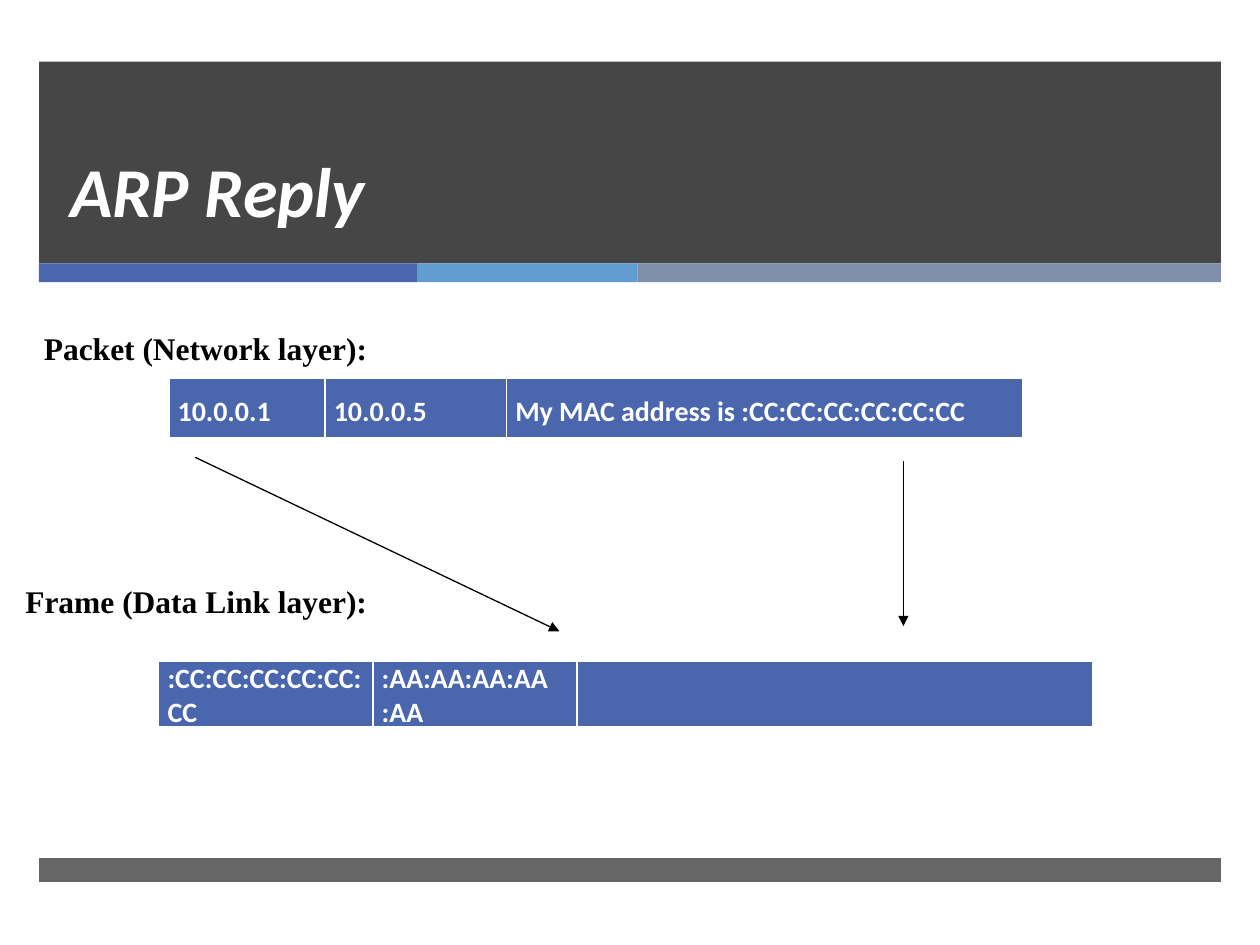
from dataclasses import dataclass
from typing import Optional

import lxml.etree
import pptx
import pptx.dml.color
import pptx.enum.shapes
import pptx.enum.text
import pptx.oxml
import pptx.oxml.ns
import pptx.util

ALIGN = pptx.enum.text.PP_ALIGN
ANCHOR = pptx.enum.text.MSO_ANCHOR
qn = pptx.oxml.ns.qn


@dataclass(frozen=True)
class Theme:
    dark: str = "262626"
    blue: str = "4A66AC"
    sky: str = "629DD1"
    slate: str = "7F8FA9"
    white: str = "FFFFFF"
    black: str = "000000"
    sans: str = "Calibri"
    serif: str = "Times New Roman"
    title_size: int = 40
    label_size: int = 18
    field_size: int = 16


@dataclass(frozen=True)
class Box:
    left: float
    top: float
    width: float
    height: float


@dataclass(frozen=True)
class Band:
    box: Box
    color: str
    opacity: int = 100


@dataclass(frozen=True)
class TextStyle:
    font: str
    size: int
    color: str
    italic: bool = False
    spacing: Optional[float | pptx.util.Pt] = None
    after: int = 0
    align: Optional[ALIGN] = None


@dataclass(frozen=True)
class Label:
    text: str
    box: Box
    style: TextStyle
    anchor: ANCHOR = ANCHOR.TOP
    wrap: bool = False


@dataclass(frozen=True)
class Header:
    left: float
    top: float
    height: float
    widths: tuple[float, ...]
    fields: tuple[str, ...]
    styles: tuple[TextStyle, ...]


@dataclass(frozen=True)
class Arrow:
    start: tuple[float, float]
    end: tuple[float, float]


THEME = Theme()
GRID_COLUMNS = 100

deck = pptx.Presentation()
deck.slide_width = pptx.util.Inches(10)
deck.slide_height = pptx.util.Inches(7.5)
slide = deck.slides.add_slide(deck.slide_layouts[6])


def grid(units: float) -> int:
    return round(units * deck.slide_width / GRID_COLUMNS)


def place(box: Box) -> tuple[int, int, int, int]:
    return grid(box.left), grid(box.top), grid(box.width), grid(box.height)


def rgb(color: str) -> pptx.dml.color.RGBColor:
    return pptx.dml.color.RGBColor.from_string(color)


def write(frame, text: str, style: TextStyle) -> None:
    frame.text = text
    for paragraph in frame.paragraphs:
        paragraph.alignment = style.align
        paragraph.line_spacing = style.spacing
        paragraph.space_after = pptx.util.Pt(style.after)
        for run in paragraph.runs:
            run.font.name = style.font
            run.font.size = pptx.util.Pt(style.size)
            run.font.color.rgb = rgb(style.color)
            run.font.bold = True
            run.font.italic = style.italic


def draw_band(band: Band) -> None:
    bar = slide.shapes.add_shape(pptx.enum.shapes.MSO_SHAPE.RECTANGLE, *place(band.box))
    bar.shadow.inherit = False
    bar.line.fill.background()
    bar.fill.solid()
    bar.fill.fore_color.rgb = rgb(band.color)
    if band.opacity < 100:
        tint = bar.fill._xPr.find(".//" + qn("a:srgbClr"))
        lxml.etree.SubElement(tint, qn("a:alpha"), val=str(band.opacity * 1000))


def draw_label(label: Label) -> None:
    frame = slide.shapes.add_textbox(*place(label.box)).text_frame
    frame.word_wrap = label.wrap
    frame.vertical_anchor = label.anchor
    write(frame, label.text, label.style)


def draw_header(header: Header) -> None:
    box = Box(header.left, header.top, sum(header.widths), header.height)
    table = slide.shapes.add_table(1, len(header.widths), *place(box)).table
    table.first_row = table.horz_banding = False
    for column, width in zip(table.columns, header.widths):
        column.width = grid(width)
    for cell, text, style in zip(table.rows[0].cells, header.fields, header.styles):
        cell.margin_left = cell.margin_right = grid(0.7)
        cell.margin_top = cell.margin_bottom = 0
        cell.fill.solid()
        cell.fill.fore_color.rgb = rgb(THEME.blue)
        write(cell.text_frame, text, style)
        for index, (side, points) in enumerate((("L", 1), ("R", 1), ("T", 1), ("B", 3))):
            border = pptx.oxml.parse_xml(
                f'<a:ln{side} {pptx.oxml.ns.nsdecls("a")} w="{pptx.util.Pt(points)}">'
                f'<a:solidFill><a:srgbClr val="{THEME.white}"/></a:solidFill></a:ln{side}>'
            )
            cell._tc.get_or_add_tcPr().insert(index, border)


def draw_arrow(arrow: Arrow) -> None:
    ends = [grid(value) for value in (*arrow.start, *arrow.end)]
    connector = slide.shapes.add_connector(pptx.enum.shapes.MSO_CONNECTOR.STRAIGHT, *ends)
    connector.line.color.rgb = rgb(THEME.black)
    connector.line.width = pptx.util.Pt(0.75)
    lxml.etree.SubElement(connector.line._get_or_add_ln(), qn("a:tailEnd"), type="triangle")
    lxml.etree.SubElement(connector._element.spPr, qn("a:effectLst"))


title_style = TextStyle(THEME.sans, THEME.title_size, THEME.white, True, pptx.util.Pt(46))
frame_label = TextStyle(THEME.serif, THEME.label_size, THEME.black)
packet_label = TextStyle(THEME.serif, THEME.label_size, THEME.black, False, 1.5, 10, ALIGN.JUSTIFY)
address = TextStyle(THEME.sans, THEME.field_size, THEME.white, False, 1.5, 10, ALIGN.JUSTIFY)
message = TextStyle(THEME.sans, THEME.field_size, THEME.white, False, 1.5, 10)
hardware = TextStyle(THEME.sans, THEME.field_size, THEME.white)

MARGIN, CONTENT = 3.1, 93.8
bands = [Band(Box(MARGIN, 4.9, CONTENT, 16), THEME.dark, 85)]
stripe_left = MARGIN
for stripe_width, stripe_color in ((30, THEME.blue), (17.5, THEME.sky), (46.3, THEME.slate)):
    bands.append(Band(Box(stripe_left, 20.9, stripe_width, 1.5), stripe_color))
    stripe_left += stripe_width
bands.append(Band(Box(MARGIN, 68.1, CONTENT, 1.9), THEME.dark, 70))

labels = [
    Label("ARP Reply", Box(4.6, 7, 85.4, 11.9), title_style, ANCHOR.BOTTOM, True),
    Label("Packet (Network layer):", Box(2.5, 24.1, 28, 5.6), packet_label),
    Label(" Frame (Data Link layer):", Box(0.4, 45.7, 30.1, 4), frame_label),
]
headers = [
    Header(13.4, 30, 4.9, (12.4, 14.4, 41),
           ("10.0.0.1", "10.0.0.5", "My MAC address is :CC:CC:CC:CC:CC:CC"),
           (address, address, message)),
    Header(12.6, 52.5, 5.3, (17, 16.2, 40.9),
           (":CC:CC:CC:CC:CC:CC", ":AA:AA:AA:AA\n:AA", ""),
           (hardware, hardware, hardware)),
]
arrows = [Arrow((15.5, 36.3), (44.4, 50.1)), Arrow((71.7, 36.6), (71.7, 49.7))]

for draw, parts in ((draw_band, bands), (draw_label, labels),
                    (draw_header, headers), (draw_arrow, arrows)):
    for part in parts:
        draw(part)

deck.save("out.pptx")
